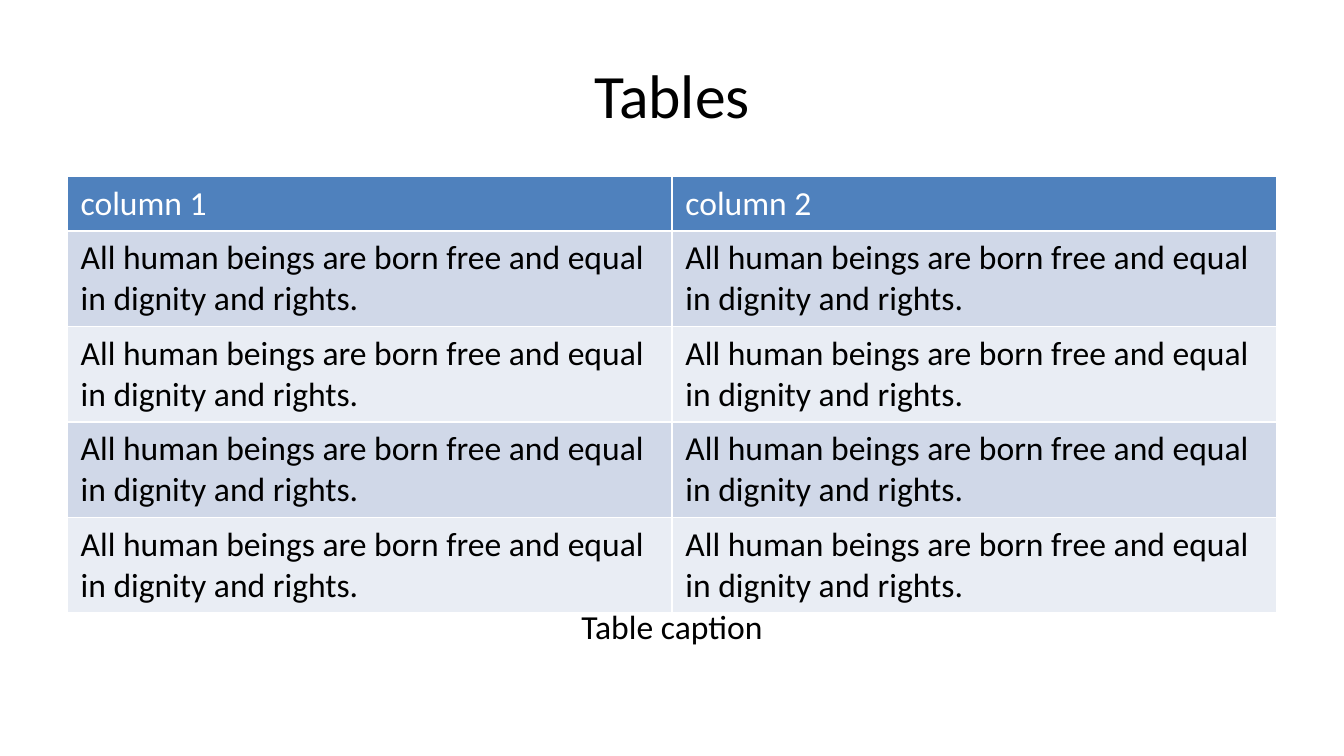
from pptx import Presentation
from pptx import util as u
from pptx.dml.color import RGBColor
from pptx.enum import text

PX = 9525  # EMU per px, 96 px to the inch
LEFT, WIDTH = 48, 864
HEADER_HEIGHT, BODY_HEIGHT = 38, 68
COLORS = {
    "text": "000000",
    "header_text": "FFFFFF",
    "header": "4F81BD",
    "odd_row": "D0D8E8",
    "even_row": "E9EDF4",
}


def write(frame, words, size, color="text", alignment=text.PP_ALIGN.CENTER):
    frame.word_wrap = True
    paragraph = frame.paragraphs[0]
    paragraph.alignment = alignment
    run = paragraph.add_run()
    run.text = words
    for name, value in {"name": "Calibri", "size": u.Pt(size), "bold": False}.items():
        setattr(run.font, name, value)
    run.font.color.rgb = RGBColor.from_string(COLORS[color])


def place(top, height):
    """Return the box of a full-width element in EMU."""
    return [length * PX for length in (LEFT, top, WIDTH, height)]


presentation = Presentation()
presentation.slide_width = 960 * PX
presentation.slide_height = 540 * PX
slide = presentation.slides.add_slide(presentation.slide_layouts[5])

title = slide.shapes.title
title.left, title.top, title.width, title.height = place(22, 90)
title.text_frame.vertical_anchor = text.MSO_ANCHOR.MIDDLE
write(title.text_frame, "Tables", 33)

sentence = "All human beings are born free and equal in dignity and rights."
rows = [["column 1", "column 2"]] + [[sentence] * 2] * 4

# The default table style supplies the white rules between cells.
table_height = HEADER_HEIGHT + 4 * BODY_HEIGHT
table = slide.shapes.add_table(len(rows), 2, *place(126, table_height)).table
for row_index, words_in_row in enumerate(rows):
    is_header = row_index == 0
    table.rows[row_index].height = (HEADER_HEIGHT if is_header else BODY_HEIGHT) * PX
    fill = "header" if is_header else ("odd_row" if row_index % 2 else "even_row")
    for column_index, words in enumerate(words_in_row):
        cell = table.cell(row_index, column_index)
        cell.fill.solid()
        cell.fill.fore_color.rgb = RGBColor.from_string(COLORS[fill])
        write(cell.text_frame, words, 18, "header_text" if is_header else "text",
              text.PP_ALIGN.LEFT)

caption = slide.shapes.add_textbox(*place(428, 54))
write(caption.text_frame, "Table caption", 18)

presentation.save("out.pptx")
